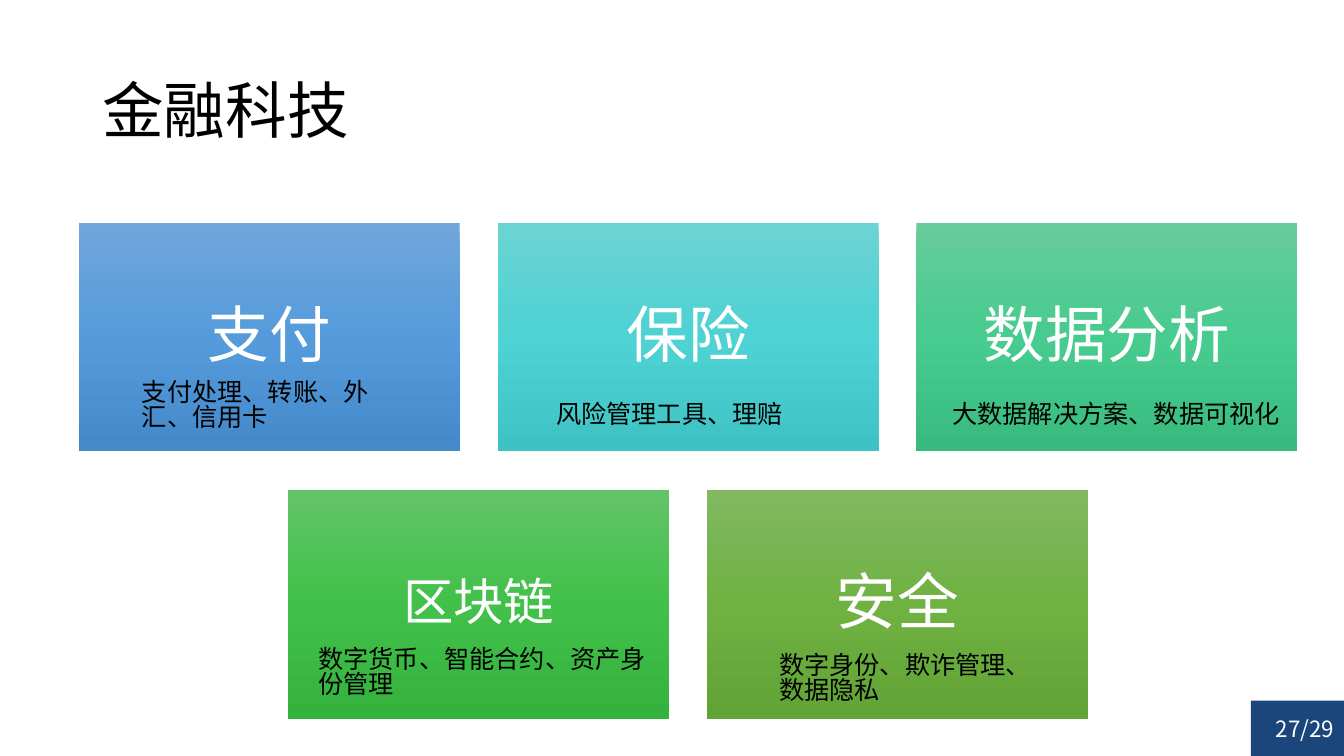
from copy import deepcopy

from lxml import etree
from pptx import Presentation
from pptx.dml.color import RGBColor
from pptx.enum.shapes import MSO_SHAPE
from pptx.enum.text import MSO_ANCHOR, PP_ALIGN
from pptx.oxml.ns import qn
from pptx.util import Pt

RECTANGLE = MSO_SHAPE.RECTANGLE
TOP, MIDDLE = MSO_ANCHOR.TOP, MSO_ANCHOR.MIDDLE
LEFT, CENTER, RIGHT = PP_ALIGN.LEFT, PP_ALIGN.CENTER, PP_ALIGN.RIGHT

FONT = "Noto Sans CJK SC"
COLORS = {"text": "000000", "light": "FFFFFF", "page": "1B467B"}

# Card grid, in points
CARD_W, CARD_H = 272.2, 163.4
PITCH_X, PITCH_Y = 299.2, 190.8
GRID_LEFT, GRID_TOP = 56.2, 159.1

# Row, column, heading, heading size, gradient from top to bottom,
# caption, caption box (left, top, width, height)
CARDS = [
    (0, 0, "支付", 44, ("71A6DB", "559BDB", "448ACA"),
     "支付处理、转账、外汇、信用卡", (94.3, 269.3, 180, 51)),
    (0, 1, "保险", 44, ("6CD3D3", "4ED2D3", "3EC2C3"),
     "风险管理工具、理赔", (390.2, 285.1, 259.2, 29)),
    (0, 2, "数据分析", 44, ("67CC9A", "47CB8E", "39BB7F"),
     "大数据解决方案、数据可视化", (673.2, 285.1, 259.2, 29)),
    (1, 0.5, "区块链", 36, ("63C368", "42C14A", "34B23D"),
     "数字货币、智能合约、资产身份管理", (220.3, 460.1, 259.2, 51)),
    (1, 1.5, "安全", 44, ("81B861", "6FB242", "62A336"),
     "数字身份、欺诈管理、数据隐私", (549.4, 464.4, 180, 51)),
]


def write_text(shape, text, *, size, color="text", align=LEFT, anchor=TOP,
               spacing=1.0, inset=(7.2, 3.6)):
    frame = shape.text_frame
    frame.word_wrap = True
    frame.vertical_anchor = anchor
    frame.margin_left = frame.margin_right = Pt(inset[0])
    frame.margin_top = frame.margin_bottom = Pt(inset[1])
    paragraph = frame.paragraphs[0]
    paragraph.alignment = align
    paragraph.line_spacing = spacing
    run = paragraph.add_run()
    run.text = text
    run.font.size = Pt(size)
    run.font.name = FONT
    run.font.color.rgb = RGBColor.from_string(COLORS[color])
    # Chinese characters take the East Asian font
    east_asian = etree.SubElement(run.font._element, qn("a:ea"))
    east_asian.set("typeface", FONT)


def add_label(slide, box, text, **text_format):
    label = slide.shapes.add_textbox(*map(Pt, box))
    write_text(label, text, **text_format)


def add_block(slide, box):
    block = slide.shapes.add_shape(RECTANGLE, *map(Pt, box))
    block.shadow.inherit = False
    block.line.fill.background()
    return block


def fill_gradient(fill, colors):
    fill.gradient()
    fill.gradient_angle = 270
    first = fill.gradient_stops[0]._gs
    first.addnext(deepcopy(first))
    for stop, position, color in zip(fill.gradient_stops, (0, 0.5, 1), colors):
        stop.position = position
        stop.color.rgb = RGBColor.from_string(color)


def add_card(slide, row, column, heading, size, colors):
    card = add_block(slide, (GRID_LEFT + column * PITCH_X,
                             GRID_TOP + row * PITCH_Y, CARD_W, CARD_H))
    fill_gradient(card.fill, colors)
    write_text(card, heading, size=size, color="light", align=CENTER,
               anchor=MIDDLE, spacing=0.9, inset=(12, 12))


def add_page_number(slide, text):
    corner = add_block(slide, (893.5, 500.4, 66.5, 39.6))
    corner.fill.solid()
    corner.fill.fore_color.rgb = RGBColor.from_string(COLORS["page"])
    write_text(corner, text, size=16, color="light", align=RIGHT, anchor=MIDDLE)


def main():
    deck = Presentation()
    deck.slide_width, deck.slide_height = Pt(960), Pt(540)
    slide = deck.slides.add_slide(deck.slide_layouts[6])

    # Title and page number
    add_label(slide, (66, 28.8, 828, 104.4), "金融科技", size=44,
              anchor=MIDDLE, spacing=0.9)
    add_page_number(slide, "27/29")

    # Cards, then the captions on top of them
    for row, column, heading, size, colors, _, _ in CARDS:
        add_card(slide, row, column, heading, size, colors)
    for *_, caption, box in CARDS:
        add_label(slide, box, caption, size=18, spacing=0.82)

    deck.save("out.pptx")


if __name__ == "__main__":
    main()
